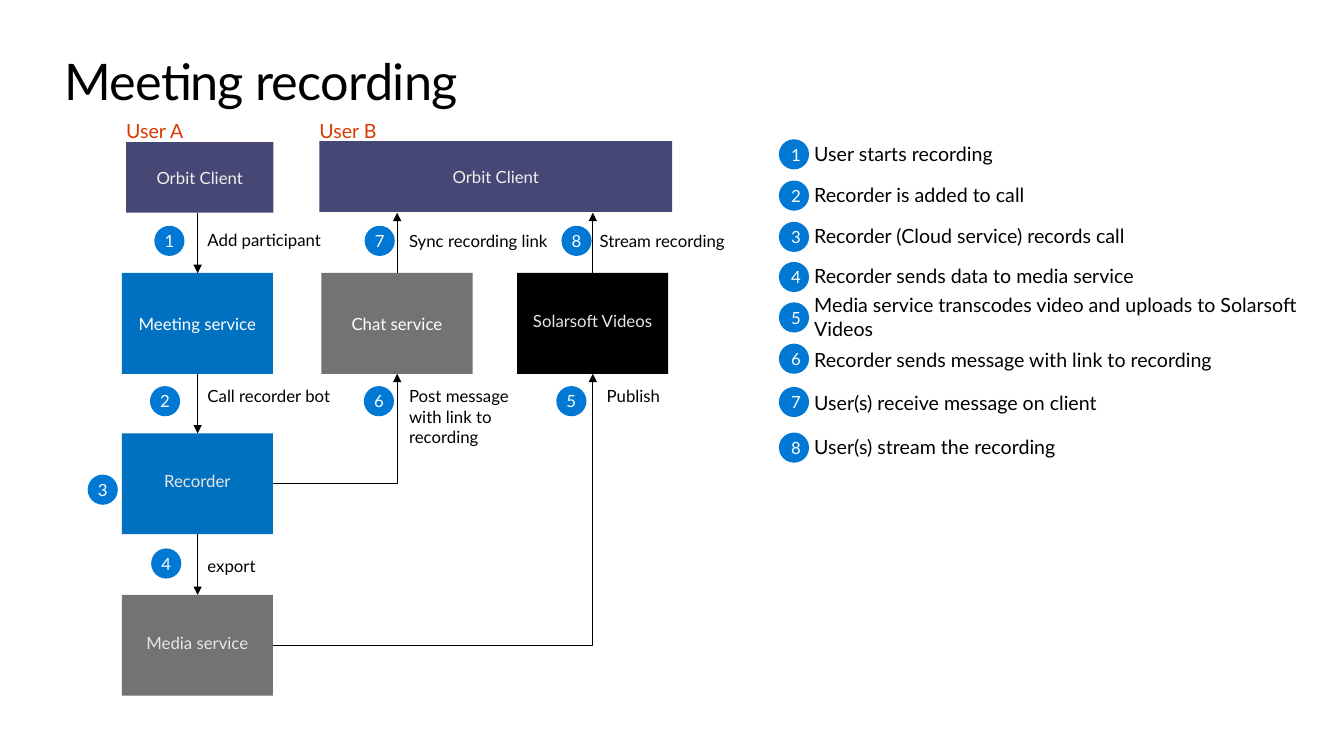
"""Build the meeting recording flow slide."""
from dataclasses import dataclass
from typing import Any, NamedTuple

from lxml.etree import SubElement
from pptx import Presentation
from pptx.dml.color import RGBColor as RGB
from pptx.enum.shapes import MSO_CONNECTOR as CONN, MSO_SHAPE as SHAPE
from pptx.enum.text import MSO_ANCHOR as ANCHOR, MSO_AUTO_SIZE as FIT, PP_ALIGN as ALIGN
from pptx.oxml.ns import qn
from pptx.util import Cm, Pt


@dataclass(frozen=True)
class Theme:
    """Colours, font and type sizes."""
    font: str = "Lato"
    ink: str = "000000"
    white: str = "FFFFFF"
    pale: str = "E6E6E6"
    cream: str = "F1EFED"
    client: str = "464775"
    service: str = "0070C0"
    store: str = "737373"
    badge: str = "0078D4"
    user: str = "D83B01"
    title: int = 36
    body: int = 14
    small: int = 12
    line: float = 0.75


class Box(NamedTuple):
    """A filled block of the diagram."""
    text: str
    x: float
    y: float
    fill: str
    color: str
    raised: bool = False
    w: float = 3.81
    h: float = 2.54
    kind: Any = SHAPE.RECTANGLE


class Label(NamedTuple):
    """A free line of text."""
    text: str
    x: float
    y: float
    w: float
    h: float
    size: int
    color: str
    wrap: bool = False


class Badge(NamedTuple):
    """A numbered circle."""
    number: int
    x: float
    y: float
    inset: float = 0


class Arrow(NamedTuple):
    """A straight or bent arrow."""
    x1: float
    y1: float
    x2: float
    y2: float


class Step(NamedTuple):
    """A legend entry."""
    text: str
    badge_y: float
    text_y: float
    w: float
    h: float = 0.61


T = Theme()
COL_A, COL_B, COL_C = 3.07, 8.1, 13.03
ROW_1, ROW_2, ROW_3 = 6.88, 10.92, 14.99
MID_A, MID_B, MID_C = 4.98, 10.01, 14.94
EDGE_A, BOX_H, CLIENT_END = 6.88, 2.54, 5.36
DIAMETER, LEGEND_X, LEGEND_TEXT_X = 0.76, 19.63, 20.52
ROUND = SHAPE.ROUNDED_RECTANGLE

BOXES = [
    Box("Orbit Client", 3.18, 3.58, T.client, T.cream, w=3.71, h=1.78, kind=ROUND),
    Box("Orbit Client", 8.05, 3.56, T.client, T.cream, w=8.89, h=1.78, kind=ROUND),
    Box("Meeting service", COL_A, ROW_1, T.service, T.white),
    Box("Chat service", COL_B, ROW_1, T.store, T.white),
    Box("Solarsoft Videos", COL_C, ROW_1, T.ink, T.pale, True),
    Box("Recorder", COL_A, ROW_2, T.service, T.pale, True),
    Box("Media service", COL_A, ROW_3, T.store, T.pale, True),
]
ARROWS = [
    Arrow(MID_A, CLIENT_END, MID_A, ROW_1),
    Arrow(MID_A, ROW_1 + BOX_H, MID_A, ROW_2),
    Arrow(MID_A, ROW_2 + BOX_H, MID_A, ROW_3),
    Arrow(EDGE_A, ROW_3 + BOX_H / 2, MID_C, ROW_1 + BOX_H),
    Arrow(EDGE_A, ROW_2 + BOX_H / 2, MID_B, ROW_1 + BOX_H),
    Arrow(MID_B, ROW_1, MID_B, CLIENT_END),
    Arrow(MID_C, ROW_1, MID_C, CLIENT_END),
]
LABELS = [
    Label("User A", 3.18, 3, 1.45, 0.61, T.body, T.user),
    Label("User B", 8.05, 3, 1.45, 0.61, T.body, T.user),
    Label("Add participant", 5.23, 5.8, 2.92, 0.51, T.small, T.ink),
    Label("Sync recording link", 10.31, 5.82, 3.56, 0.51, T.small, T.ink),
    Label("Stream recording", 15.11, 5.82, 3.23, 0.51, T.small, T.ink),
    Label("Call recorder bot", 5.23, 9.73, 3.12, 0.51, T.small, T.ink),
    Label("Post message with link to recording", 10.31, 9.73, 2.87, 1.55,
          T.small, T.ink, True),
    Label("Publish", 15.29, 9.73, 1.35, 0.51, T.small, T.ink),
    Label("export", 5.23, 14, 1.22, 0.51, T.small, T.ink),
]
BADGES = [
    Badge(1, 3.89, 5.69), Badge(2, 3.78, 9.73), Badge(3, 2.21, 11.96),
    Badge(4, 3.81, 13.82), Badge(5, 14.02, 9.73), Badge(6, 9.17, 9.73),
    Badge(7, 9.19, 5.69), Badge(8, 14.15, 5.69),
]
STEPS = [
    Step("User starts recording", 3.51, 3.58, 4.6),
    Step("Recorder is added to call", 4.55, 4.62, 5.44),
    Step("Recorder (Cloud service) records call", 5.59, 5.64, 7.98),
    Step("Recorder sends data to media service", 6.6, 6.65, 8.23),
    Step("Media service transcodes video and uploads to Solarsoft Videos",
         7.62, 7.39, 12.83, 1.19),
    Step("Recorder sends message with link to recording", 8.66, 8.76, 10.26),
    Step("User(s) receive message on client", 9.75, 9.86, 7.52),
    Step("User(s) stream the recording", 10.9, 10.97, 6.45),
]


def apply(obj: Any, values: dict[str, Any]) -> None:
    """Set every named attribute on an object."""
    for name, value in values.items():
        setattr(obj, name, value)


def write(sp: Any, text: str, size: int, color: str, frame: dict[str, Any],
          align: Any = ALIGN.LEFT) -> Any:
    """Fill a shape with one run of text and return the run."""
    apply(sp.text_frame, frame)
    p = sp.text_frame.paragraphs[0]
    p.alignment = align
    r = p.add_run()
    r.text = text
    apply(r.font, {"name": T.font, "size": Pt(size)})
    r.font.color.rgb = RGB.from_string(color)
    return r


def margins(left: float, top: float, right: float, bottom: float) -> dict[str, Any]:
    """Return text frame margins given in centimetres."""
    return {"margin_left": Cm(left), "margin_top": Cm(top),
            "margin_right": Cm(right), "margin_bottom": Cm(bottom)}


def add_filled(s: Any, kind: Any, x: float, y: float, w: float, h: float, fill: str) -> Any:
    """Add a flat shape without an outline."""
    sp = s.shapes.add_shape(kind, Cm(x), Cm(y), Cm(w), Cm(h))
    sp.shadow.inherit = False
    sp.fill.solid()
    sp.fill.fore_color.rgb = RGB.from_string(fill)
    sp.line.fill.background()
    return sp


def draw_box(s: Any, box: Box) -> None:
    """Draw a diagram block with centred text."""
    sp = add_filled(s, box.kind, box.x, box.y, box.w, box.h, box.fill)
    if box.kind == ROUND:
        sp.adjustments[0] = 0
    top = 0 if box.raised else 0.13
    frame = {"word_wrap": True, "vertical_anchor": ANCHOR.MIDDLE, **margins(0.25, top, 0.25, 0.13)}
    write(sp, box.text, T.small, box.color, frame, ALIGN.CENTER)


def draw_label(s: Any, label: Label) -> Any:
    """Draw a text box without margins and return its run."""
    sp = s.shapes.add_textbox(Cm(label.x), Cm(label.y), Cm(label.w), Cm(label.h))
    frame = {"word_wrap": label.wrap, "auto_size": FIT.SHAPE_TO_FIT_TEXT, **margins(0, 0, 0, 0)}
    return write(sp, label.text, label.size, label.color, frame)


def draw_badge(s: Any, badge: Badge) -> None:
    """Draw a numbered circle."""
    sp = add_filled(s, SHAPE.OVAL, badge.x, badge.y, DIAMETER, DIAMETER, T.badge)
    frame = {"word_wrap": False, "vertical_anchor": ANCHOR.MIDDLE, **margins(badge.inset, 0, 0, 0)}
    write(sp, str(badge.number), T.small, T.white, frame, ALIGN.CENTER)


def draw_arrow(s: Any, arrow: Arrow) -> None:
    """Draw an arrow, with one bend when its ends share no axis."""
    bent = arrow.x1 != arrow.x2
    sp = s.shapes.add_connector(CONN.ELBOW if bent else CONN.STRAIGHT, *map(Cm, arrow))
    apply(sp.line, {"width": Pt(T.line)})
    sp.line.color.rgb = RGB.from_string(T.ink)
    props = sp._element.spPr
    if bent:
        props.find(qn("a:prstGeom")).set("prst", "bentConnector2")
    SubElement(props.find(qn("a:ln")), qn("a:tailEnd"), type="triangle")
    SubElement(props, qn("a:effectLst"))


def main() -> None:
    """Assemble and save the slide."""
    prs = Presentation()
    apply(prs, {"slide_width": Cm(33.87), "slide_height": Cm(19.05)})
    s = prs.slides.add_slide(prs.slide_layouts[6])
    title = Label("Meeting recording", 1.63, 1.27, 30.61, 1.55, T.title, T.ink, True)
    draw_label(s, title)._r.get_or_add_rPr().set("spc", "-50")
    for draw, items in ((draw_box, BOXES), (draw_arrow, ARROWS),
                        (draw_label, LABELS), (draw_badge, BADGES)):
        for item in items:
            draw(s, item)
    for number, step in enumerate(STEPS, 1):
        draw_badge(s, Badge(number, LEGEND_X, step.badge_y, 0.1))
        draw_label(s, Label(step.text, LEGEND_TEXT_X, step.text_y, step.w, step.h,
                            T.body, T.ink, step.h > 1))
    prs.save("out.pptx")


if __name__ == "__main__":
    main()
